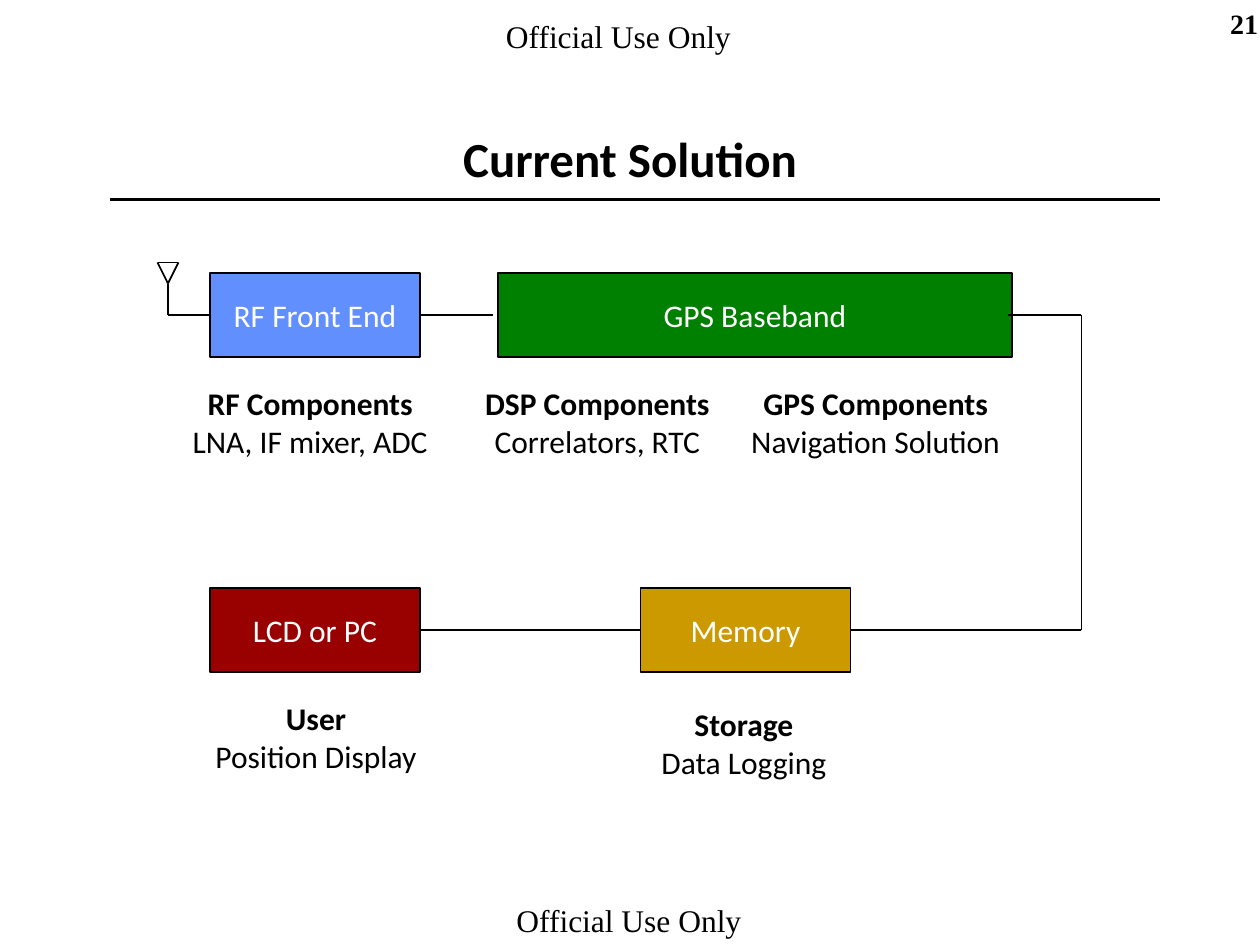
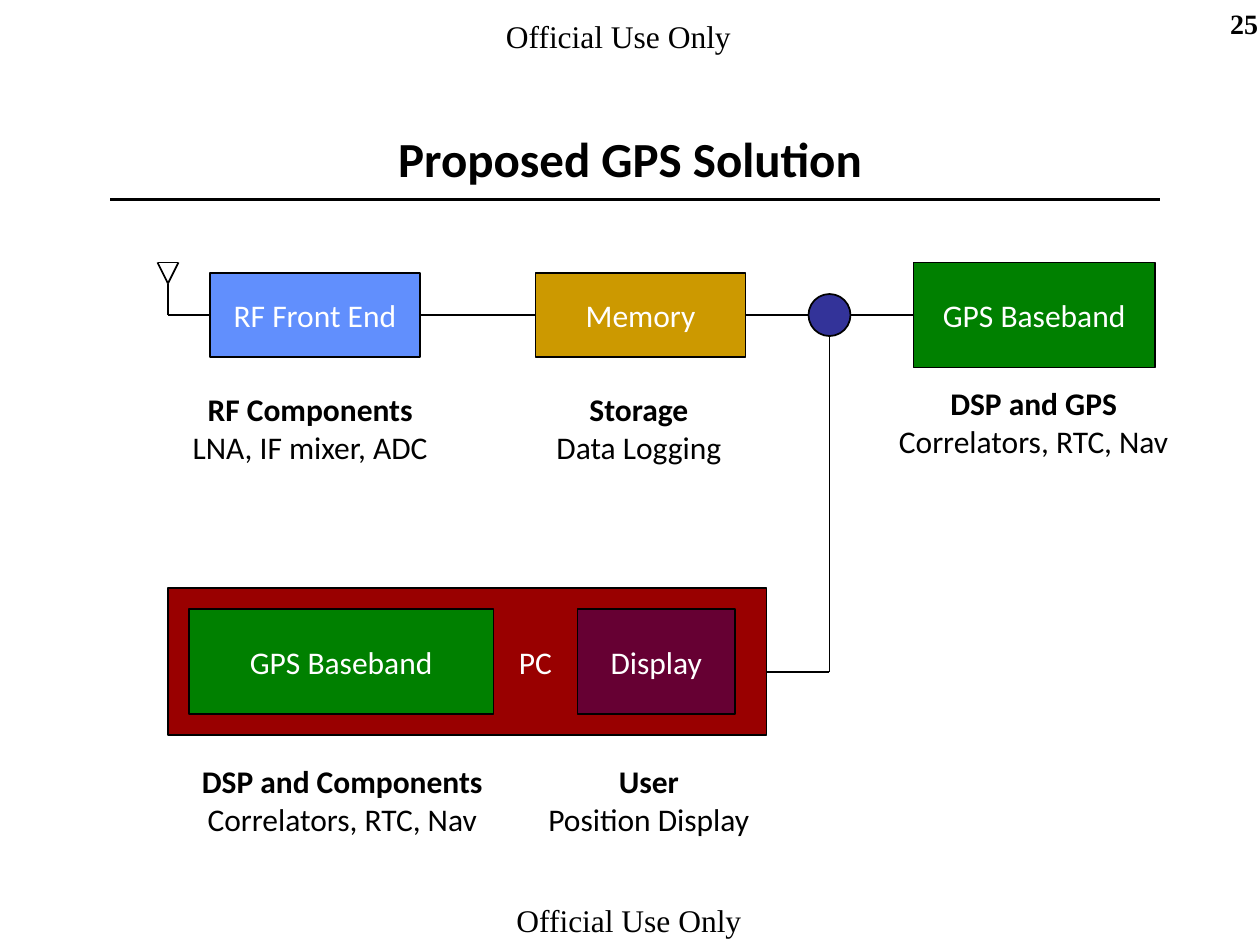
from dataclasses import dataclass

from lxml.etree import SubElement
from pptx import Presentation
from pptx.dml.color import RGBColor
from pptx.enum.shapes import MSO_CONNECTOR, MSO_SHAPE
from pptx.enum.text import MSO_ANCHOR, MSO_AUTO_SIZE, PP_ALIGN
from pptx.oxml.ns import qn
from pptx.slide import Slide
from pptx.util import Inches, Length, Pt

CELLS_PER_INCH = 12
COLUMNS, ROWS = 120, 90
TITLE_ONLY = 5


@dataclass(frozen=True)
class Theme:
    ink: RGBColor = RGBColor(0, 0, 0)
    paper: RGBColor = RGBColor(255, 255, 255)
    radio: RGBColor = RGBColor.from_string("618FFD")
    baseband: RGBColor = RGBColor.from_string("008000")
    memory: RGBColor = RGBColor.from_string("CC9900")
    computer: RGBColor = RGBColor.from_string("990000")
    display: RGBColor = RGBColor.from_string("660033")
    junction: RGBColor = RGBColor.from_string("333399")
    body_font: str = "Calibri"
    marking_font: str = "Times New Roman"
    title_size: Length = Pt(28)
    text_size: Length = Pt(18)
    number_size: Length = Pt(16)
    wire_width: Length = Pt(1)
    rule_width: Length = Pt(2)


THEME = Theme()


@dataclass(frozen=True)
class Area:
    """A rectangle in grid cells."""
    column: float
    row: float
    columns: float
    rows: float

    def lengths(self) -> tuple[Length, ...]:
        return tuple(map(cells, (self.column, self.row, self.columns, self.rows)))


@dataclass(frozen=True)
class Block:
    label: str
    area: Area
    fill: RGBColor
    outlined: bool = True
    preset: MSO_SHAPE = MSO_SHAPE.RECTANGLE


@dataclass(frozen=True)
class Caption:
    heading: str
    detail: str
    column: float
    row: float
    columns: float


@dataclass(frozen=True)
class Wire:
    """Straight segments through grid points."""
    points: tuple[tuple[float, float], ...]
    width: Length = THEME.wire_width


Piece = Block | Caption | Wire


@dataclass(frozen=True)
class Diagram:
    number: int
    title: str
    pieces: tuple[Piece, ...]


def cells(count: float) -> Length:
    return Inches(count / CELLS_PER_INCH)


def style(paragraph, size: Length, color: RGBColor = THEME.ink, bold: bool = False,
          font: str = THEME.body_font, align: PP_ALIGN = PP_ALIGN.CENTER) -> None:
    paragraph.alignment = align
    paragraph.font.name = font
    paragraph.font.size = size
    paragraph.font.bold = bold
    paragraph.font.color.rgb = color


def draw_wire(slide: Slide, wire: Wire) -> None:
    for start, end in zip(wire.points, wire.points[1:]):
        segment = slide.shapes.add_connector(MSO_CONNECTOR.STRAIGHT, *map(cells, start + end))
        segment.line.color.rgb = THEME.ink
        segment.line.width = wire.width
        SubElement(segment._element.spPr, qn("a:effectLst"))


def draw_block(slide: Slide, block: Block) -> None:
    shape = slide.shapes.add_shape(block.preset, *block.area.lengths())
    shape.shadow.inherit = False
    shape.fill.solid()
    shape.fill.fore_color.rgb = block.fill
    if block.outlined:
        shape.line.color.rgb = THEME.ink
        shape.line.width = THEME.wire_width
    else:
        shape.line.fill.background()
    if block.label:
        frame = shape.text_frame
        frame.word_wrap = False
        frame.vertical_anchor = MSO_ANCHOR.MIDDLE
        frame.text = block.label
        style(frame.paragraphs[0], THEME.text_size, THEME.paper)


def draw_caption(slide: Slide, caption: Caption) -> None:
    area = Area(caption.column, caption.row, caption.columns, 8.4)
    frame = slide.shapes.add_textbox(*area.lengths()).text_frame
    frame.word_wrap = False
    frame.auto_size = MSO_AUTO_SIZE.SHAPE_TO_FIT_TEXT
    frame.text = f"{caption.heading}\n{caption.detail}"
    heading, detail = frame.paragraphs
    style(heading, THEME.text_size, bold=True)
    style(detail, THEME.text_size)


def draw_marking(slide: Slide, text: str, area: Area, size: Length = THEME.text_size,
                 bold: bool = False, align: PP_ALIGN = PP_ALIGN.LEFT) -> None:
    frame = slide.shapes.add_textbox(*area.lengths()).text_frame
    frame.word_wrap = True
    frame.text = text
    style(frame.paragraphs[0], size, bold=bold, font=THEME.marking_font, align=align)


def draw_frame(slide: Slide, number: int, title: str) -> None:
    """Draw what every slide shares: rule, markings, page number and title."""
    draw_wire(slide, Wire(((10.5, 19), (110.5, 19)), THEME.rule_width))
    for column, row in ((47, 1), (48, 85.2)):
        draw_marking(slide, "Official Use Only", Area(column, row, 26, 4.8))
    draw_marking(slide, str(number), Area(113, 0, 8, 4.4), THEME.number_size,
                 bold=True, align=PP_ALIGN.RIGHT)

    heading = slide.shapes.title
    heading.left, heading.top, heading.width, heading.height = Area(9, 7, 102, 16).lengths()
    frame = heading.text_frame
    frame.auto_size = MSO_AUTO_SIZE.NONE
    frame.vertical_anchor = MSO_ANCHOR.MIDDLE
    frame.text = title
    style(frame.paragraphs[0], THEME.title_size, bold=True)


PAINTERS = {Block: draw_block, Caption: draw_caption, Wire: draw_wire}


def unit(label: str, column: float, row: float, fill: RGBColor) -> Block:
    """A block of the standard size."""
    return Block(label, Area(column, row, 20, 8), fill)


def radio_pieces(caption_row: float) -> tuple[Piece, ...]:
    """The antenna and the RF front end that open both signal chains."""
    return (
        unit("RF Front End", 20, 26, THEME.radio),
        Wire(((20, 30), (16, 30), (16, 27), (15, 25), (17, 25), (16, 27))),
        Caption("RF Components", "LNA, IF mixer, ADC", 17, caption_row, 25.1),
    )


def storage_caption(column: float, row: float) -> Caption:
    return Caption("Storage", "Data Logging", column, row, 18.1)


def user_caption(column: float, row: float) -> Caption:
    return Caption("User", "Position Display", column, row, 21.6)


DIAGRAMS = (
    Diagram(21, "Current Solution", (
        *radio_pieces(36),
        Wire(((40, 30), (47, 30))),
        Block("GPS Baseband", Area(47.4, 26, 49, 8), THEME.baseband),
        Caption("DSP Components", "Correlators, RTC", 45, 36, 23.8),
        Caption("GPS Components", "Navigation Solution", 70.3, 36, 26.2),
        Wire(((96, 30), (103, 30), (103, 60), (81, 60))),
        unit("Memory", 61, 56, THEME.memory),
        storage_caption(61.8, 66.6),
        unit("LCD or PC", 20, 56, THEME.computer),
        Wire(((40, 60), (61, 60))),
        user_caption(19.3, 66),
    )),
    Diagram(25, "Proposed GPS Solution", (
        Wire(((67, 30), (87, 30))),
        Block("", Area(16, 56, 57, 14), THEME.computer),
        Block("PC", Area(46, 58, 10, 10), THEME.computer, outlined=False),
        *radio_pieces(36.6),
        Wire(((40, 30), (53, 30))),
        Caption("DSP and Components", "Correlators, RTC, Nav", 18, 72, 29.2),
        user_caption(51, 72),
        Block("GPS Baseband", Area(18, 58, 29, 10), THEME.baseband),
        Block("Display", Area(55, 58, 15, 10), THEME.display),
        unit("Memory", 51, 26, THEME.memory),
        storage_caption(51.8, 36.6),
        Block("GPS Baseband", Area(87, 25, 23, 10), THEME.baseband),
        Caption("DSP and GPS", "Correlators, RTC, Nav", 84.3, 36, 28.3),
        Wire(((79, 30), (79, 64), (73, 64))),
        Block("", Area(77, 28, 4, 4), THEME.junction, preset=MSO_SHAPE.OVAL),
    )),
)


def main() -> None:
    deck = Presentation()
    deck.slide_width, deck.slide_height = cells(COLUMNS), cells(ROWS)
    for diagram in DIAGRAMS:
        slide = deck.slides.add_slide(deck.slide_layouts[TITLE_ONLY])
        draw_frame(slide, diagram.number, diagram.title)
        for piece in diagram.pieces:
            PAINTERS[type(piece)](slide, piece)
    deck.save("out.pptx")


if __name__ == "__main__":
    main()
